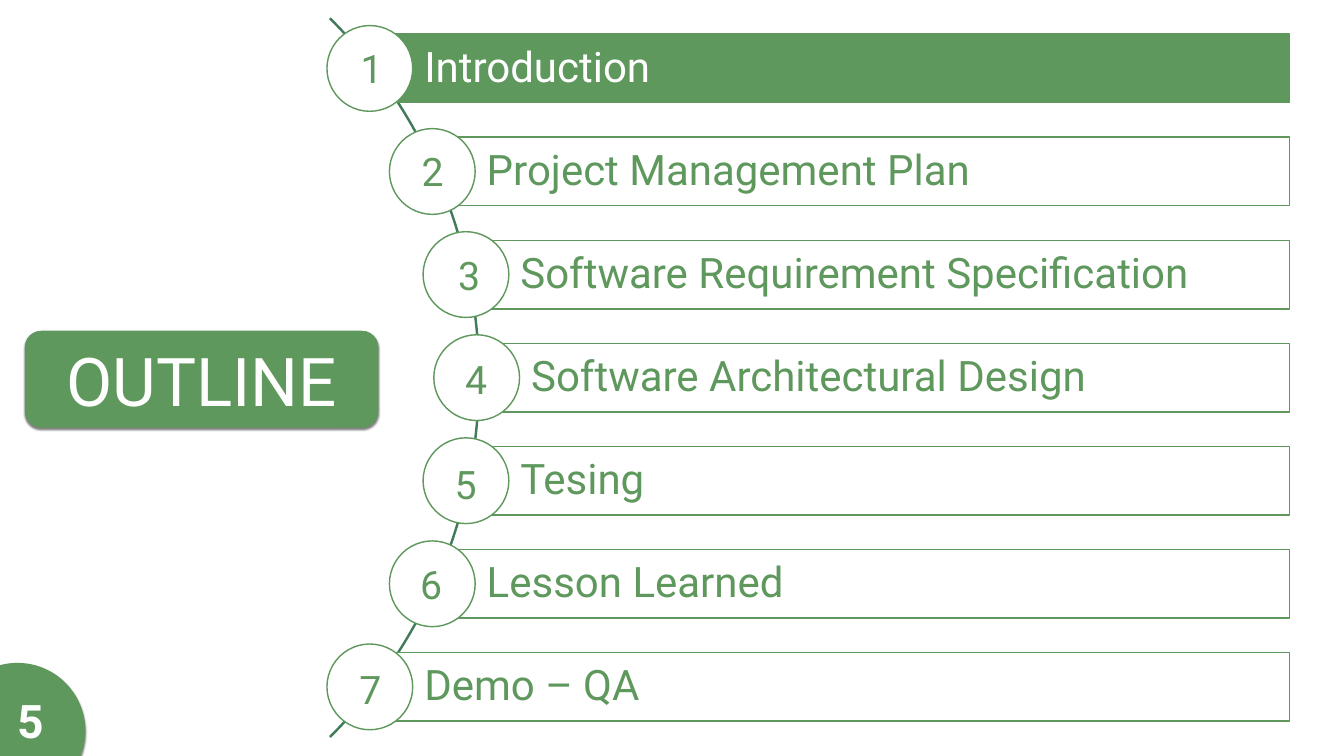
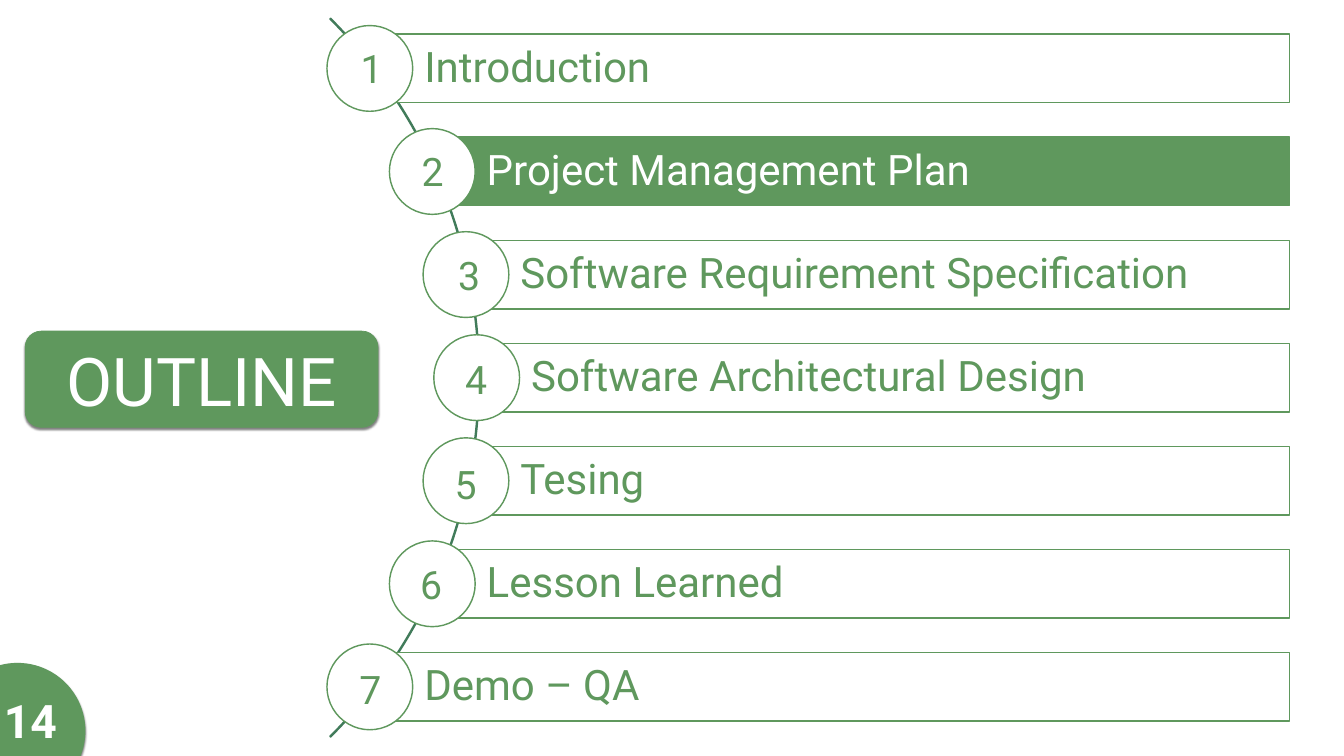
import math

from lxml import etree
from pptx import Presentation
from pptx import util as u
from pptx.dml.color import RGBColor
from pptx.enum import dml, shapes, text
from pptx.oxml import ns

# Shared look
GREEN = RGBColor(0x5F, 0x98, 0x5D)
DARK_GREEN = RGBColor(0x41, 0x7B, 0x5A)
WHITE = RGBColor(0xFF, 0xFF, 0xFF)
FONT = "Roboto"
PAGE_WIDTH, PAGE_HEIGHT = 1920, 1080
KINDS = shapes.MSO_SHAPE

# Boxes of the regions: left, top, width, height
CORNER_BOX = (-72, 947, 194, 194)
TITLE_BOX = (36, 473, 504, 137.5)
AGENDA_BOX = (467, 36.5, 1375, 1006)

# Each topic, with the small shift of its number from the circle centre
TOPICS = [
    ("Introduction", (2.75, -0.25)),
    ("Project Management Plan", (0.5, -1.5)),
    ("Software Requirement Specification", (4.5, 0.25)),
    ("Software Architectural Design", (-0.75, 2)),
    ("Tesing", (-0.5, 4)),
    ("Lesson Learned", (-1.5, 0.5)),
    ("Demo – QA", (0.75, 3)),
]
OUTLINE_PAGES = [(5, 0), (14, 1)]  # page number, index of the current topic

CENTRED = {"alignment": text.PP_ALIGN.CENTER}
LABEL = {"alignment": text.PP_ALIGN.LEFT, "line_spacing": 0.9}
TIGHT = (4.5, 4.5, 4.5, 4.5)


def points(values):
    return [u.Pt(value) for value in values]


def add_box(parent, kind, box, fill=None, line=None, weight=2):
    shape = parent.add_shape(kind, *points(box))
    shape.shadow.inherit = False
    if fill is None:
        shape.fill.background()
    else:
        shape.fill.solid()
        shape.fill.fore_color.rgb = fill
    if line is None:
        shape.line.fill.background()
    else:
        shape.line.color.rgb = line
        shape.line.width = u.Pt(weight)
    return shape


def add_soft_shadow(shape):
    effects = shape._element.spPr.find(ns.qn("a:effectLst"))
    shadow = etree.SubElement(
        effects, ns.qn("a:outerShdw"), blurRad=str(u.Pt(3)), dist=str(u.Pt(2)),
        dir="5400000", algn="t", rotWithShape="0")
    colour = etree.SubElement(shadow, ns.qn("a:srgbClr"), val="000000")
    etree.SubElement(colour, ns.qn("a:alpha"), val="50000")


def write(shape, words, size, colour, layout, bold=False, insets=TIGHT, **frame_format):
    frame = shape.text_frame
    sides = ("margin_left", "margin_top", "margin_right", "margin_bottom")
    settings = {"word_wrap": True, "vertical_anchor": text.MSO_ANCHOR.MIDDLE,
                **dict(zip(sides, points(insets))), **frame_format}
    for name, value in settings.items():
        setattr(frame, name, value)
    para = frame.paragraphs[0]
    for name, value in layout.items():
        setattr(para, name, value)
    span = para.add_run()
    span.text = words
    for name, value in {"name": FONT, "size": u.Pt(size), "bold": bold}.items():
        setattr(span.font, name, value)
    span.font.color.rgb = colour


def set_background(page):
    fill = page.background.fill
    fill.patterned()
    fill.pattern = dml.MSO_PATTERN.PERCENT_5
    fill.fore_color.rgb = WHITE
    fill.back_color.rgb = WHITE


def add_corner(page, box):
    add_soft_shadow(add_box(page.shapes, KINDS.OVAL, box, GREEN))


def add_title(page, box):
    title = add_box(page.shapes, KINDS.ROUNDED_RECTANGLE, box, GREEN, GREEN, 1)
    add_soft_shadow(title)
    write(title, "OUTLINE", 96, WHITE, CENTRED)


def add_page_number(page, number, corner_box):
    left, top, width, _ = corner_box
    number_width = 14.5 + 38 * len(str(number))
    centre = left + width / 2 + 18.5
    box = page.shapes.add_textbox(
        *points((centre - number_width / 2, top + 38, number_width, 87)))
    write(box, str(number), 66, WHITE, CENTRED, bold=True,
          insets=(7.2, 3.6, 7.2, 3.6), word_wrap=False,
          vertical_anchor=text.MSO_ANCHOR.TOP)


def add_agenda(page, box, current):
    left, top, width, height = box
    circle, bar_height = 122.5, 98
    middle = top + height / 2
    pitch = (height - circle) / (len(TOPICS) - 1)
    group = page.shapes.add_group_shape().shapes

    # Arc behind the rows
    arc_size = 1452
    arc = add_box(group, KINDS.BLOCK_ARC,
                  (left - 1234, middle - arc_size / 2, arc_size, arc_size),
                  line=DARK_GREEN)
    for index, value in enumerate((189, 27, 0.001)):
        arc.adjustments[index] = value

    # The circle centres lie on a curve just inside the arc
    curve_radius, curve_centre = 715.5, left - 501.5
    centres = []
    for row, (topic, _) in enumerate(TOPICS):
        y = top + circle / 2 + row * pitch
        x = curve_centre + math.sqrt(curve_radius ** 2 - (y - middle) ** 2)
        centres.append((x, y))
        fill, ink = (GREEN, WHITE) if row == current else (WHITE, GREEN)
        bar = add_box(group, KINDS.RECTANGLE,
                      (x, y - bar_height / 2, left + width - x, bar_height),
                      fill, GREEN)
        write(bar, topic, 60, ink, LABEL, insets=(77.75, 12, 12, 12))
        add_box(group, KINDS.OVAL, (x - circle / 2, y - circle / 2, circle, circle),
                WHITE, GREEN)

    # Numbers on the circles
    number_width, number_height = 79, 75.5
    for row, ((x, y), (_, shift)) in enumerate(zip(centres, TOPICS), 1):
        number = page.shapes.add_textbox(*points(
            (x + shift[0] - number_width / 2, y + shift[1] - number_height / 2,
             number_width, number_height)))
        write(number, str(row), 56, GREEN, CENTRED)


def add_outline_page(deck, number, current):
    page = deck.slides.add_slide(deck.slide_layouts[6])
    set_background(page)
    add_corner(page, CORNER_BOX)
    add_title(page, TITLE_BOX)
    add_agenda(page, AGENDA_BOX, current)
    add_page_number(page, number, CORNER_BOX)


def main():
    deck = Presentation()
    deck.slide_width, deck.slide_height = points((PAGE_WIDTH, PAGE_HEIGHT))
    for number, current in OUTLINE_PAGES:
        add_outline_page(deck, number, current)
    deck.save("out.pptx")


if __name__ == "__main__":
    main()
